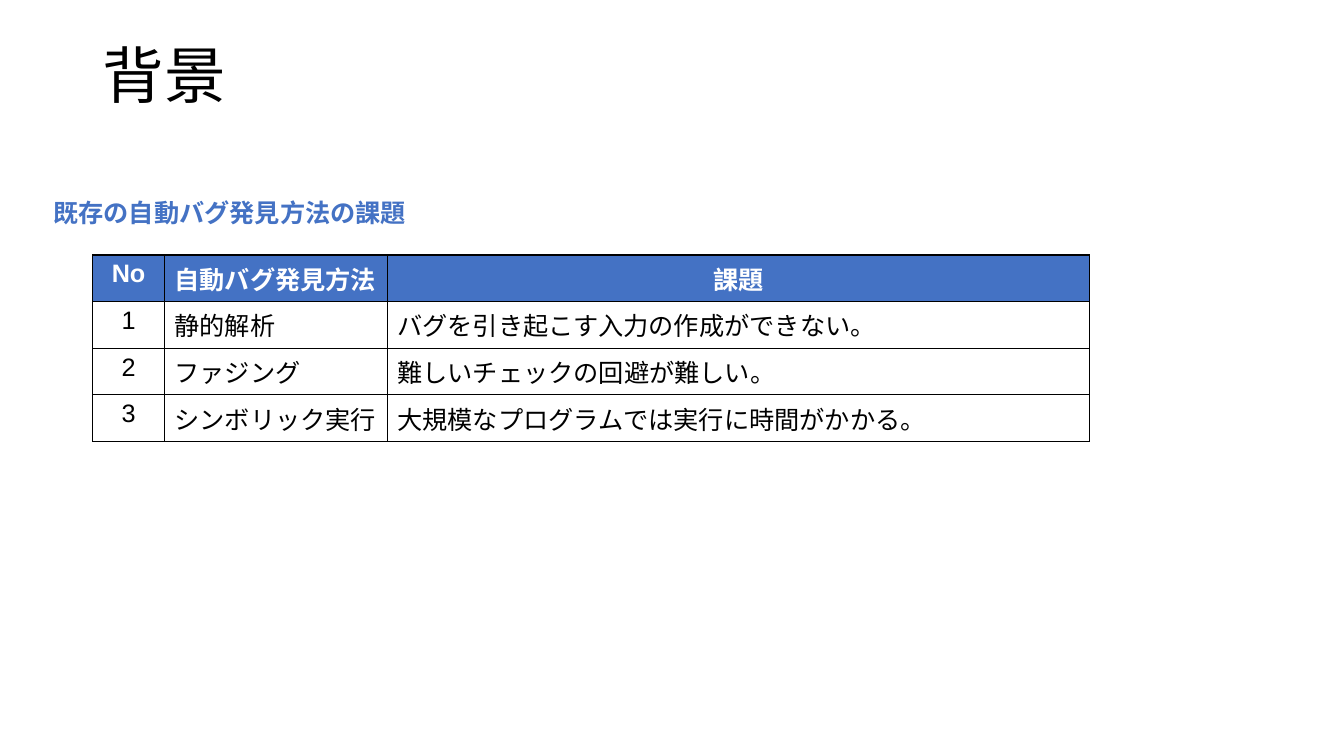
from dataclasses import dataclass

from lxml.etree import SubElement
from pptx import Presentation
from pptx.dml.color import RGBColor
from pptx.enum.text import MSO_ANCHOR, PP_ALIGN as Align
from pptx.oxml.ns import qn
from pptx.slide import Slide
from pptx.table import _Cell as Cell
from pptx.text.text import _Paragraph as Paragraph
from pptx.util import Inches, Pt

BLACK = RGBColor(0, 0, 0)
WHITE = RGBColor(255, 255, 255)
BLUE = RGBColor(0x44, 0x72, 0xC4)
FONT = "Arial"


@dataclass(frozen=True)
class Heading:
    text: str
    left: float
    top: float
    width: float
    height: float
    size: int
    color: RGBColor
    bold: bool = False
    line_spacing: float = 1.0


@dataclass(frozen=True)
class Method:
    number: str
    name: str
    issue: str


HEADER = Method("No", "自動バグ発見方法", "課題")
METHODS = [
    Method("1", "静的解析", "バグを引き起こす入力の作成ができない。"),
    Method("2", "ファジング", "難しいチェックの回避が難しい。"),
    Method("3", "シンボリック実行", "大規模なプログラムでは実行に時間がかかる。"),
]
HEADINGS = [
    Heading("既存の自動バグ発見方法の課題", 0.43, 1.91, 6.6, 0.4, 18, BLUE, bold=True),
    Heading("背景", 0.92, 0.4, 11.5, 1.45, 44, BLACK, line_spacing=0.9),
]
COLUMN_WIDTHS = [0.71, 2.21, 6.97]
HEADER_ALIGNS = [Align.CENTER, Align.LEFT, Align.CENTER]
BODY_ALIGNS = [Align.CENTER, Align.LEFT, Align.LEFT]


def style(paragraph: Paragraph, size: int, color: RGBColor, bold: bool) -> None:
    font = paragraph.font
    font.name, font.size, font.bold = FONT, Pt(size), bold
    font.color.rgb = color


def draw_heading(slide: Slide, heading: Heading) -> None:
    box = slide.shapes.add_textbox(
        Inches(heading.left), Inches(heading.top),
        Inches(heading.width), Inches(heading.height),
    )
    frame = box.text_frame
    frame.word_wrap = True
    frame.vertical_anchor = MSO_ANCHOR.TOP
    paragraph = frame.paragraphs[0]
    paragraph.text = heading.text
    paragraph.line_spacing = heading.line_spacing
    style(paragraph, heading.size, heading.color, heading.bold)


def add_borders(cell: Cell) -> None:
    properties = cell._tc.get_or_add_tcPr()
    for position, side in enumerate(("a:lnL", "a:lnR", "a:lnT", "a:lnB")):
        line = SubElement(properties, qn(side), w=str(Pt(1)))
        fill = SubElement(line, qn("a:solidFill"))
        SubElement(fill, qn("a:srgbClr"), val=str(BLACK))
        properties.insert(position, line)


def fill_cell(cell: Cell, text: str, align: Align, is_header: bool) -> None:
    if is_header:
        cell.fill.solid()
        cell.fill.fore_color.rgb = BLUE
    else:
        cell.fill.background()
    add_borders(cell)
    paragraph = cell.text_frame.paragraphs[0]
    paragraph.text = text
    paragraph.alignment = align
    style(paragraph, 18, WHITE if is_header else BLACK, is_header)


def draw_methods(slide: Slide) -> None:
    rows = [HEADER, *METHODS]
    table = slide.shapes.add_table(
        len(rows), len(COLUMN_WIDTHS), Inches(0.92), Inches(2.53),
        Inches(sum(COLUMN_WIDTHS)), Inches(1.62),
    ).table
    table.horz_banding = False
    for column, width in zip(table.columns, COLUMN_WIDTHS):
        column.width = Inches(width)
    for row_index, method in enumerate(rows):
        is_header = method is HEADER
        aligns = HEADER_ALIGNS if is_header else BODY_ALIGNS
        texts = (method.number, method.name, method.issue)
        for column_index, (text, align) in enumerate(zip(texts, aligns)):
            fill_cell(table.cell(row_index, column_index), text, align, is_header)


presentation = Presentation()
presentation.slide_width = Inches(13.33)
presentation.slide_height = Inches(7.5)
background_slide = presentation.slides.add_slide(presentation.slide_layouts[6])
draw_methods(background_slide)
for slide_heading in HEADINGS:
    draw_heading(background_slide, slide_heading)
presentation.save("out.pptx")
